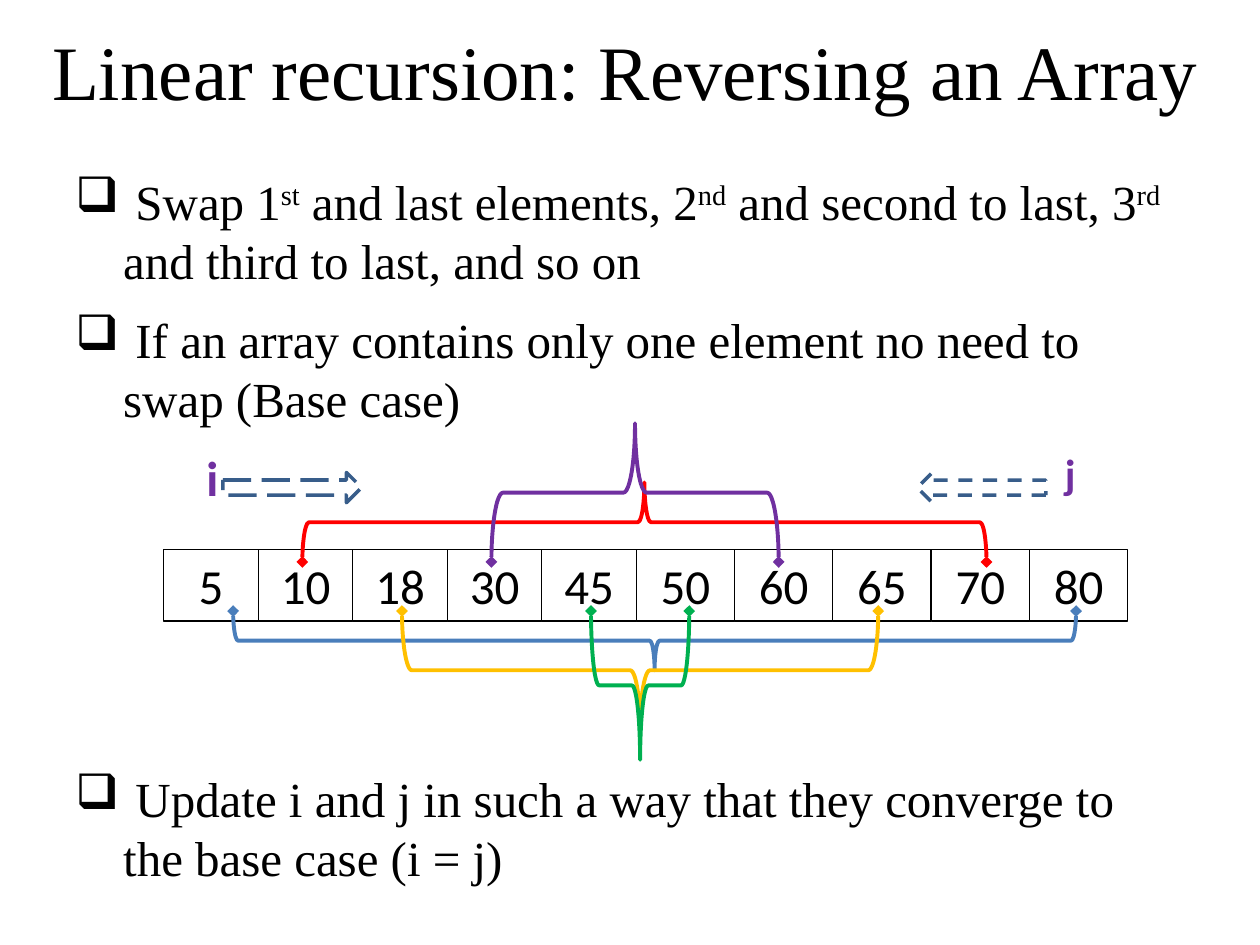
"""Build the slide on reversing an array by linear recursion."""
from lxml.etree import SubElement
from pptx import Presentation
from pptx.dml.color import RGBColor
from pptx.enum.dml import MSO_LINE_DASH_STYLE as DASH
from pptx.enum.shapes import MSO_SHAPE as SHAPE
from pptx.enum.text import MSO_ANCHOR as ANCHOR, PP_ALIGN as ALIGN
from pptx.oxml.ns import qn
from pptx.util import Inches, Pt

SERIF, SANS = "Times New Roman", "Calibri"
BLACK, PURPLE, STEEL = "000000", "7030A0", "385D8A"
VALUES = [5, 10, 18, 30, 45, 50, 60, 65, 70, 80]
WIDTHS = [0.75] * 5 + [0.78] * 5
LEFT, TOP, HEIGHT = 1.3, 4.36, 0.57
BULLETS = [
    (["Swap 1", "st", " and last elements, 2", "nd", " and second to last, 3", "rd",
      " and third to last, and so on"], 0),
    (["If an array contains only one element no need to swap (Base case)"], 0),
    (["Update i and j in such a way that they converge to the base case (i = j)"], 183),
]
BRACES = [
    (1.85, 8.54, 4.85, 0.47, 90, "4A7EBB"),
    (2.4, 7.83, 4.46, 0.63, 270, "FF0000"),
    (3.19, 6.97, 4.85, 0.94, 90, "FFC000"),
    (4.69, 5.47, 4.85, 1.18, 90, "00B050"),
    (3.9, 6.18, 4.46, 1.1, 270, PURPLE),
]


def rgb(color):
    """Turn a hex string into a colour."""
    return RGBColor.from_string(color)


def box(*lengths):
    """Turn left, top, width and height in inches into lengths."""
    return [Inches(n) for n in lengths]


def style(r, size, font, color=BLACK, bold=False):
    """Format one run."""
    r.font.size, r.font.name, r.font.bold = Pt(size), font, bold
    r.font.color.rgb = rgb(color)


def set_text(sp, text, size, font, color=BLACK, bold=False):
    """Put one centred line into a shape."""
    tf = sp.text_frame
    tf.word_wrap = True
    tf.text = text
    p = tf.paragraphs[0]
    p.alignment = ALIGN.CENTER
    style(p.runs[0], size, font, color, bold)


def add_outline(shapes, kind, at, color, weight):
    """Add an unfilled preset shape."""
    sp = shapes.add_shape(kind, *box(*at))
    sp.shadow.inherit = False
    sp.fill.background()
    sp.line.color.rgb = rgb(color)
    sp.line.width = Pt(weight)
    return sp


def add_title(s, text):
    """Place and fill the title."""
    sp = s.shapes.title
    sp.left, sp.top, sp.width, sp.height = box(0.2, 0.13, 9.53, 0.85)
    set_text(sp, text, 44, SERIF)
    sp.text_frame.vertical_anchor = ANCHOR.MIDDLE


def add_bullets(s):
    """Add the bulleted text, with every second run raised."""
    tf = s.shapes.add_textbox(*box(0.5, 1.31, 9, 5.83)).text_frame
    tf.word_wrap = True
    for i, (parts, before) in enumerate(BULLETS):
        p = tf.add_paragraph() if i else tf.paragraphs[0]
        p.space_before, p.space_after = Pt(before), Pt(12)
        pPr = p._p.get_or_add_pPr()
        pPr.set("marL", str(Inches(0.38)))
        pPr.set("indent", str(-Inches(0.38)))
        SubElement(pPr, qn("a:buChar")).set("char", "❑")
        for n, part in enumerate(parts):
            r = p.add_run()
            r.text = part if n else " " + part
            style(r, 28, SERIF)
            if n % 2:
                r._r.get_or_add_rPr().set("baseline", "30000")


def add_array(s):
    """Add the row of array cells."""
    shapes = s.shapes.add_group_shape().shapes
    for i, (value, width) in enumerate(zip(VALUES, WIDTHS)):
        at = LEFT + sum(WIDTHS[:i]), TOP, width, HEIGHT
        set_text(add_outline(shapes, SHAPE.RECTANGLE, at, BLACK, 0.75), str(value), 28, SANS)


def add_indices(s):
    """Add the index letters i and j."""
    shapes = s.shapes.add_group_shape().shapes
    for text, left, height, size in [("i", 1.3, 0.57, 28), ("j", 8.11, 0.5, 24)]:
        sp = shapes.add_textbox(*box(left, 3.5, 0.77, height))
        set_text(sp, text, size, SANS, PURPLE, True)


def add_arrow(s, left, width, rotation, dash):
    """Add a dashed block arrow beside an index."""
    sp = add_outline(s.shapes, SHAPE.RIGHT_ARROW, (left, 3.75, width, 0.24), STEEL, 2)
    sp.rotation = rotation
    sp.line.dash_style = dash


def add_brace(s, start, end, base, depth, rotation, color):
    """Add a turned brace that joins two swapped cells."""
    span = end - start
    middle = base + (depth / 2 if rotation == 90 else -depth / 2)
    at = (start + end - depth) / 2, middle - span / 2, depth, span
    sp = add_outline(s.shapes, SHAPE.RIGHT_BRACE, at, color, 2.25)
    sp.rotation = rotation
    ln = sp.line._get_or_add_ln()
    for tag in ("a:headEnd", "a:tailEnd"):
        SubElement(ln, qn(tag)).set("type", "diamond")


def main():
    """Build and save the slide."""
    prs = Presentation()
    prs.slide_width, prs.slide_height = Inches(10), Inches(7.5)
    s = prs.slides.add_slide(prs.slide_layouts[5])
    add_title(s, "Linear recursion: Reversing an Array")
    add_bullets(s)
    add_array(s)
    add_indices(s)
    for brace in BRACES[:3]:
        add_brace(s, *brace)
    add_arrow(s, 1.77, 1.1, 0, DASH.LONG_DASH)
    add_arrow(s, 7.28, 1.02, 180, DASH.DASH)
    for brace in BRACES[3:]:
        add_brace(s, *brace)
    prs.save("out.pptx")


if __name__ == "__main__":
    main()
